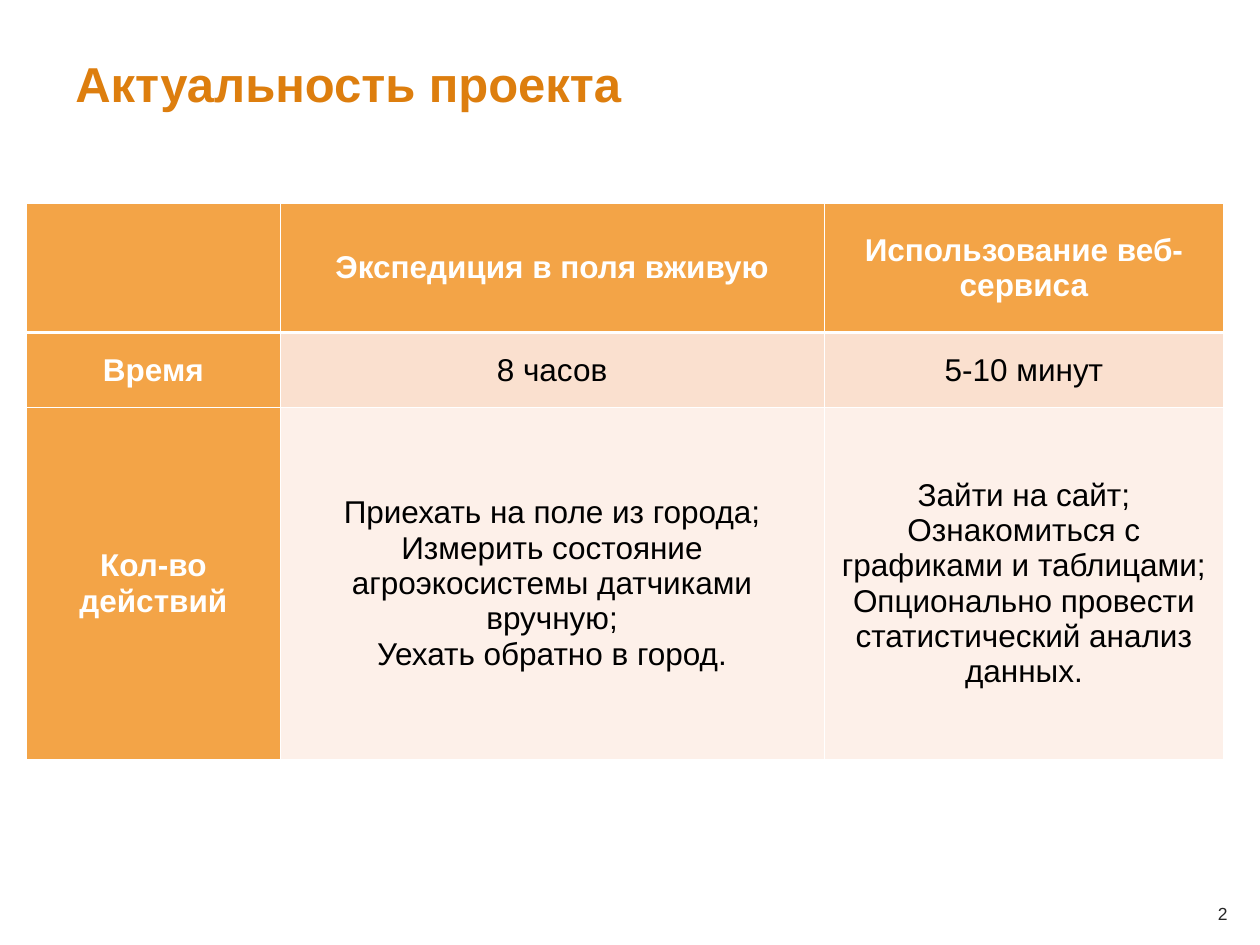
from pptx import Presentation
from pptx.dml.color import RGBColor as RGB
from pptx.enum.text import MSO_ANCHOR as Anchor, PP_ALIGN as Align
from pptx.oxml import parse_xml
from pptx.oxml.ns import nsdecls, qn
from pptx.util import Pt

COLORS = {
    "title": "DD7E0E",
    "shadow": "808080",
    "number": "262626",
    "head": "F3A447",
    "band": "FAE0CF",
    "pale": "FDF0E9",
    "white": "FFFFFF",
    "black": "000000",
}
COLS = [144.7, 311, 228.3]
ROWS = [74, 43, 201]
CELLS = [
    ["", "Экспедиция в поля вживую", "Использование веб-сервиса"],
    ["Время", "8 часов", "5-10 минут"],
    [
        "Кол-во действий",
        "Приехать на поле из города;\n"
        "Измерить состояние агроэкосистемы датчиками вручную;\n"
        "Уехать обратно в город.",
        "Зайти на сайт;\n"
        "Ознакомиться с графиками и таблицами;\n"
        "Опционально провести статистический анализ данных.",
    ],
]


def set_text(frame, text, size, color, bold=False, align=Align.CENTER):
    frame.text = text
    frame.word_wrap = True
    for para in frame.paragraphs:
        para.alignment = align
        for run in para.runs:
            run.font.name = "Arial"
            run.font.size = Pt(size)
            run.font.bold = bold
            run.font.color.rgb = RGB.from_string(COLORS[color])


def add_label(slide, box, *args, **opts):
    label = slide.shapes.add_textbox(*map(Pt, box))
    frame = label.text_frame
    frame.vertical_anchor = Anchor.MIDDLE
    set_text(frame, *args, **opts)
    return frame


def add_shadow(run):
    fill = run.font._element.find(qn("a:solidFill"))
    fill.addnext(parse_xml(
        f'<a:effectLst {nsdecls("a")}>'
        '<a:outerShdw dist="17961" dir="2700000">'
        f'<a:srgbClr val="{COLORS["shadow"]}"/></a:outerShdw></a:effectLst>'))


def set_edges(cell, top, bottom):
    props = cell._tc.get_or_add_tcPr()
    edges = {"L": 0.45, "R": 0.45, "T": top, "B": bottom}
    for spot, (side, width) in enumerate(edges.items()):
        props.insert(spot, parse_xml(
            f'<a:ln{side} {nsdecls("a")} w="{Pt(width)}"><a:solidFill>'
            f'<a:srgbClr val="{COLORS["white"]}"/></a:solidFill></a:ln{side}>'))


def add_grid(slide, left, top):
    shape = slide.shapes.add_table(
        len(ROWS), len(COLS), Pt(left), Pt(top), Pt(sum(COLS)), Pt(sum(ROWS)))
    table = shape.table
    for col, width in zip(table.columns, COLS):
        col.width = Pt(width)
    for row, height in zip(table.rows, ROWS):
        row.height = Pt(height)
    for r, texts in enumerate(CELLS):
        for c, text in enumerate(texts):
            cell = table.cell(r, c)
            head = r == 0 or c == 0
            shade = "head" if head else "band" if r == 1 else "pale"
            cell.vertical_anchor = Anchor.MIDDLE
            cell.fill.solid()
            cell.fill.fore_color.rgb = RGB.from_string(COLORS[shade])
            set_text(cell.text_frame, text, 18, "white" if head else "black", head)
            set_edges(cell, 1.47 if r == 1 else 0.45, 1.47 if r == 0 else 0.45)


def main():
    deck = Presentation()
    deck.slide_width, deck.slide_height = Pt(720), Pt(540)
    slide = deck.slides.add_slide(deck.slide_layouts[6])
    title = add_label(slide, (36, 12.2, 666, 70), "Актуальность проекта",
                      28, "title", bold=True, align=Align.LEFT)
    add_shadow(title.paragraphs[0].runs[0])
    add_label(slide, (680.4, 507.6, 36.7, 28.8), "2", 10, "number")
    add_grid(slide, 15.3, 116)
    deck.save("out.pptx")


if __name__ == "__main__":
    main()
